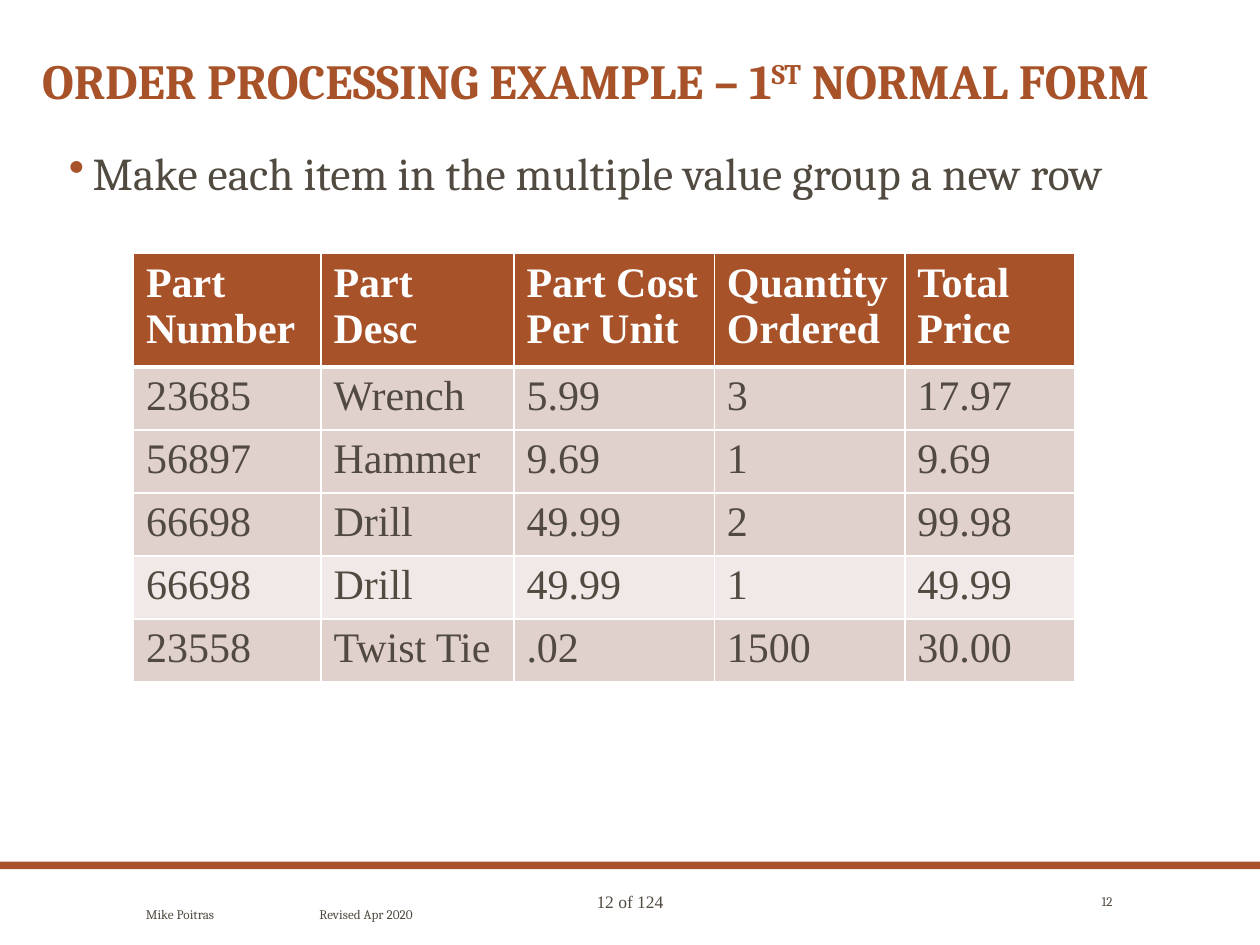
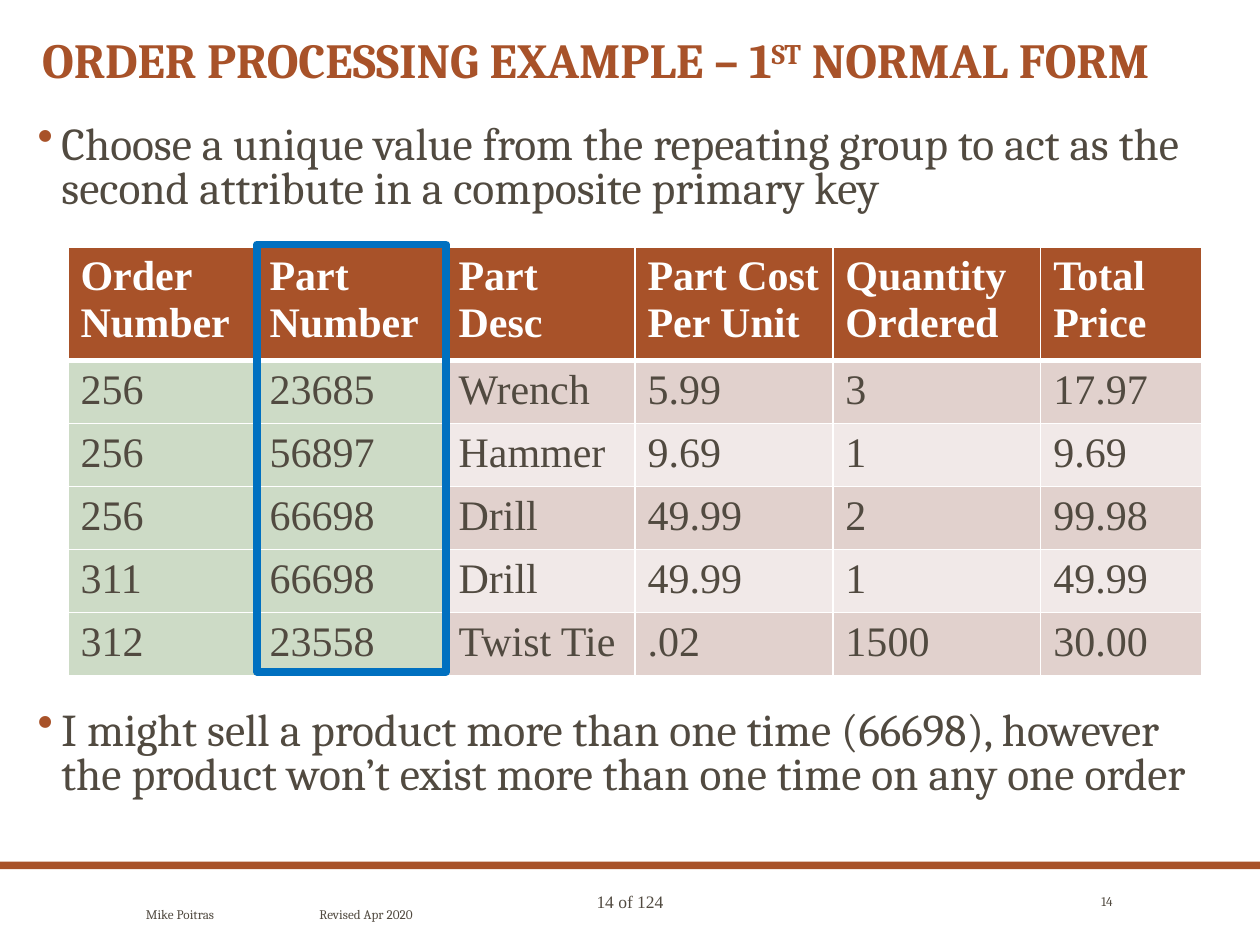
"""Build two slides on first normal form in an order processing example."""
from dataclasses import dataclass

from lxml.etree import SubElement
from pptx import Presentation
from pptx.dml.color import RGBColor
from pptx.enum.shapes import MSO_SHAPE
from pptx.enum.text import MSO_ANCHOR, PP_ALIGN
from pptx.oxml.ns import qn
from pptx.util import Cm, Pt

TITLE = [("ORDER PROCESSING EXAMPLE – 1", False), ("ST", True), (" NORMAL FORM", False)]
FOOTER = "Mike Poitras\tRevised Apr 2020"
PAGE_TOTAL = 124

HEADER = ["Order Number", "Part Number", "Part Desc", "Part Cost Per Unit",
          "Quantity Ordered", "Total Price"]
ORDERS = [
    ["256", "23685", "Wrench", "5.99", "3", "17.97"],
    ["256", "56897", "Hammer", "9.69", "1", "9.69"],
    ["256", "66698", "Drill", "49.99", "2", "99.98"],
    ["311", "66698", "Drill", "49.99", "1", "49.99"],
    ["312", "23558", "Twist Tie", ".02", "1500", "30.00"],
]

SLIDES = [
    {
        "page": 12, "title_top": 1.02, "line_spacing": 0.9,
        "bullets": [((1.04, 2.92, 23.14, 1.6),
                     "Make each item in the multiple value group a new row")],
        "table": {"left": 2.69, "top": 5.11, "cols": [3.78, 3.89, 4.04, 3.84, 3.43],
                  "header_h": 2.1, "row_h": 1.19, "first_col": 1,
                  "light_rows": [4], "key_cols": 0, "highlight": None},
    },
    {
        "page": 14, "title_top": 0.61, "line_spacing": 0.8,
        "bullets": [((0.41, 2.41, 24.43, 2.3),
                     "Choose a unique value from the repeating group to act as the "
                     "second attribute in a composite primary key"),
                    ((0.41, 14.22, 24.43, 2.3),
                     "I might sell a product more than one time (66698), however the "
                     "product won’t exist more than one time on any one order")],
        "table": {"left": 1.37, "top": 4.98, "cols": [3.81, 3.81, 3.81, 3.99, 4.19, 3.25],
                  "header_h": 2.26, "row_h": 1.27, "first_col": 0,
                  "light_rows": [2, 4], "key_cols": 2, "highlight": 1},
    },
]


@dataclass(frozen=True)
class Theme:
    accent: str = "A85229"
    text: str = "514A40"
    white: str = "FFFFFF"
    band: str = "E1D1CD"
    light_band: str = "F1E9E8"
    key: str = "CDDBC6"
    outline: str = "0070C0"
    font: str = "Cambria"
    table_font: str = "Times New Roman"
    title_pt: float = 28
    body_pt: float = 26
    table_pt: float = 24
    page_pt: float = 10
    footer_pt: float = 7.5


THEME = Theme()


def rgb(value):
    return RGBColor.from_string(value)


def add_run(p, text, size, color=THEME.text, font=THEME.font, bold=False):
    r = p.add_run()
    r.text = text
    r.font.size, r.font.name, r.font.bold = Pt(size), font, bold
    r.font.color.rgb = rgb(color)
    return r


def add_box(s, box, anchor=MSO_ANCHOR.TOP, align=PP_ALIGN.LEFT):
    tf = s.shapes.add_textbox(*map(Cm, box)).text_frame
    tf.word_wrap = True
    tf.vertical_anchor = anchor
    p = tf.paragraphs[0]
    p.alignment = align
    return p


def add_rect(s, box):
    sp = s.shapes.add_shape(MSO_SHAPE.RECTANGLE, *map(Cm, box))
    sp.shadow.inherit = False
    return sp


def add_title(s, top):
    p = add_box(s, (0.6, top, 24.03, 1.4))
    p.line_spacing = 0.9
    for text, raised in TITLE:
        r = add_run(p, text, THEME.title_pt, THEME.accent, bold=True)
        if raised:
            r.font._element.set("baseline", "30000")


def add_bullet(s, box, text, line_spacing):
    p = add_box(s, box)
    pPr = p._p.get_or_add_pPr()
    pPr.set("marL", str(Cm(0.58)))
    pPr.set("indent", str(-Cm(0.48)))
    color = SubElement(pPr, qn("a:buClr"))
    SubElement(color, qn("a:srgbClr"), val=THEME.accent)
    SubElement(pPr, qn("a:buChar"), char="•")
    p.line_spacing = line_spacing
    add_run(p, text, THEME.body_pt)


def add_footer(s, page):
    bar = add_rect(s, (0, 17.37, 25.4, 0.15))
    bar.fill.solid()
    bar.fill.fore_color.rgb = rgb(THEME.accent)
    bar.line.fill.background()

    p = add_box(s, (8.94, 17.83, 7.52, 0.69), align=PP_ALIGN.CENTER)
    add_run(p, f"{page} of {PAGE_TOTAL}", THEME.page_pt, font=THEME.table_font)

    p = add_box(s, (2.69, 17.83, 18, 1.22), MSO_ANCHOR.MIDDLE)
    tabs = SubElement(p._p.get_or_add_pPr(), qn("a:tabLst"))
    SubElement(tabs, qn("a:tab"), pos=str(Cm(3.5)), algn="l")
    add_run(p, FOOTER, THEME.footer_pt)

    p = add_box(s, (21.23, 17.83, 1.45, 0.66), MSO_ANCHOR.MIDDLE, PP_ALIGN.RIGHT)
    add_run(p, str(page), THEME.footer_pt)


def set_borders(cell, row):
    widths = {"L": 1, "R": 1, "T": 3 if row == 1 else 1, "B": 3 if row == 0 else 1}
    for side, width in widths.items():
        ln = SubElement(cell._tc.get_or_add_tcPr(), qn(f"a:ln{side}"), w=str(Pt(width)))
        SubElement(SubElement(ln, qn("a:solidFill")), qn("a:srgbClr"), val=THEME.white)


def cell_fill(spec, row, col):
    if row == 0:
        return THEME.accent
    if col < spec["key_cols"]:
        return THEME.key
    return THEME.light_band if row in spec["light_rows"] else THEME.band


def add_order_table(s, spec):
    cols, left, top = spec["cols"], spec["left"], spec["top"]
    rows = [line[spec["first_col"]:] for line in [HEADER, *ORDERS]]
    heights = [spec["header_h"]] + [spec["row_h"]] * len(ORDERS)
    box = (left, top, sum(cols), sum(heights))
    table = s.shapes.add_table(len(rows), len(cols), *map(Cm, box)).table
    table.first_row = table.horz_banding = False
    for column, width in zip(table.columns, cols):
        column.width = Cm(width)
    for i, (line, height) in enumerate(zip(rows, heights)):
        table.rows[i].height = Cm(height)
        for j, text in enumerate(line):
            cell = table.cell(i, j)
            set_borders(cell, i)
            cell.fill.solid()
            cell.fill.fore_color.rgb = rgb(cell_fill(spec, i, j))
            add_run(cell.text_frame.paragraphs[0], text, THEME.table_pt,
                    THEME.text if i else THEME.white, THEME.table_font, bold=i == 0)
    marked = spec["highlight"]
    if marked is not None:
        frame = add_rect(s, (left + sum(cols[:marked]), top - 0.05,
                             cols[marked], sum(heights)))
        frame.fill.background()
        frame.line.color.rgb = rgb(THEME.outline)
        frame.line.width = Pt(4.5)


def main():
    prs = Presentation()
    prs.slide_width, prs.slide_height = Cm(25.4), Cm(19.05)
    for content in SLIDES:
        s = prs.slides.add_slide(prs.slide_layouts[6])
        add_footer(s, content["page"])
        add_title(s, content["title_top"])
        for box, text in content["bullets"]:
            add_bullet(s, box, text, content["line_spacing"])
        add_order_table(s, content["table"])
    prs.save("out.pptx")


if __name__ == "__main__":
    main()
